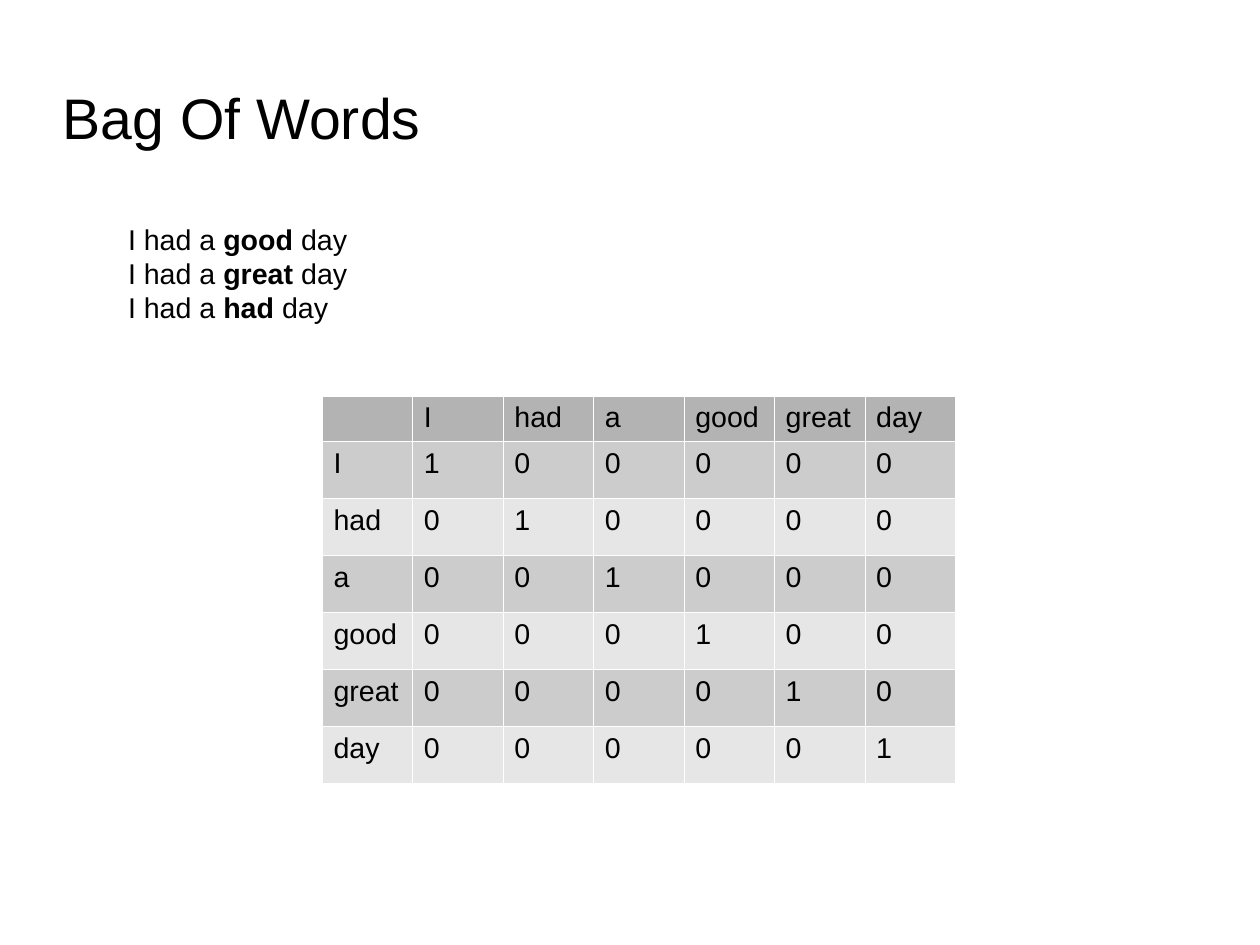
from lxml.etree import SubElement
from pptx import Presentation
from pptx.dml.color import RGBColor
from pptx.enum.text import MSO_ANCHOR, MSO_AUTO_SIZE, PP_ALIGN
from pptx.oxml.ns import qn
from pptx.util import Pt

HUES = {"text": "000000", "line": "FFFFFF", "head": "B3B3B3",
        "odd": "CCCCCC", "even": "E6E6E6"}
WORDS = ["I", "had", "a", "good", "great", "day"]


def add_run(para, text, size=18, bold=False):
    run = para.add_run()
    run.text = text
    run.font.name = "Arial"
    run.font.size = Pt(size)
    run.font.bold = bold
    run.font.color.rgb = RGBColor.from_string(HUES["text"])


def add_lines(cell):
    props = cell._tc.get_or_add_tcPr()
    for side in ("lnL", "lnR", "lnT", "lnB"):
        line = SubElement(props, qn(f"a:{side}"), w=str(Pt(0.06)))
        fill = SubElement(line, qn("a:solidFill"))
        SubElement(fill, qn("a:srgbClr"), val=HUES["line"])


deck = Presentation()
deck.slide_width, deck.slide_height = Pt(793.75), Pt(595.25)
slide = deck.slides.add_slide(deck.slide_layouts[5])

title = slide.shapes.title
title.left, title.top = Pt(39.6), Pt(45)
title.width, title.height = Pt(566.64), Pt(56.88)
frame = title.text_frame
frame.margin_left = frame.margin_right = frame.margin_top = frame.margin_bottom = 0
frame.vertical_anchor = MSO_ANCHOR.MIDDLE
frame.auto_size = MSO_AUTO_SIZE.NONE
frame.paragraphs[0].alignment = PP_ALIGN.LEFT
add_run(frame.paragraphs[0], "Bag Of Words", 36)

grid = slide.shapes.add_table(7, 7, Pt(202.9), Pt(249.3), Pt(399), Pt(244.2)).table
for col in grid.columns:
    col.width = Pt(57)
for r, row in enumerate(grid.rows):
    row.height = Pt(35.9 if r else 28.8)
    hue = "head" if r == 0 else "odd" if r % 2 else "even"
    for c, cell in enumerate(row.cells):
        if r and c:
            text = str(int(r == c))
        else:
            text = ([""] + WORDS)[r + c]
        add_run(cell.text_frame.paragraphs[0], text)
        add_lines(cell)
        cell.fill.solid()
        cell.fill.fore_color.rgb = RGBColor.from_string(HUES[hue])

box = slide.shapes.add_textbox(Pt(73.6), Pt(136), Pt(516.24), Pt(79.2))
frame = box.text_frame
frame.word_wrap = True
for i, word in enumerate(["good", "great", "had"]):
    para = frame.add_paragraph() if i else frame.paragraphs[0]
    add_run(para, "I had a ")
    add_run(para, word, bold=True)
    add_run(para, " day")

deck.save("out.pptx")
